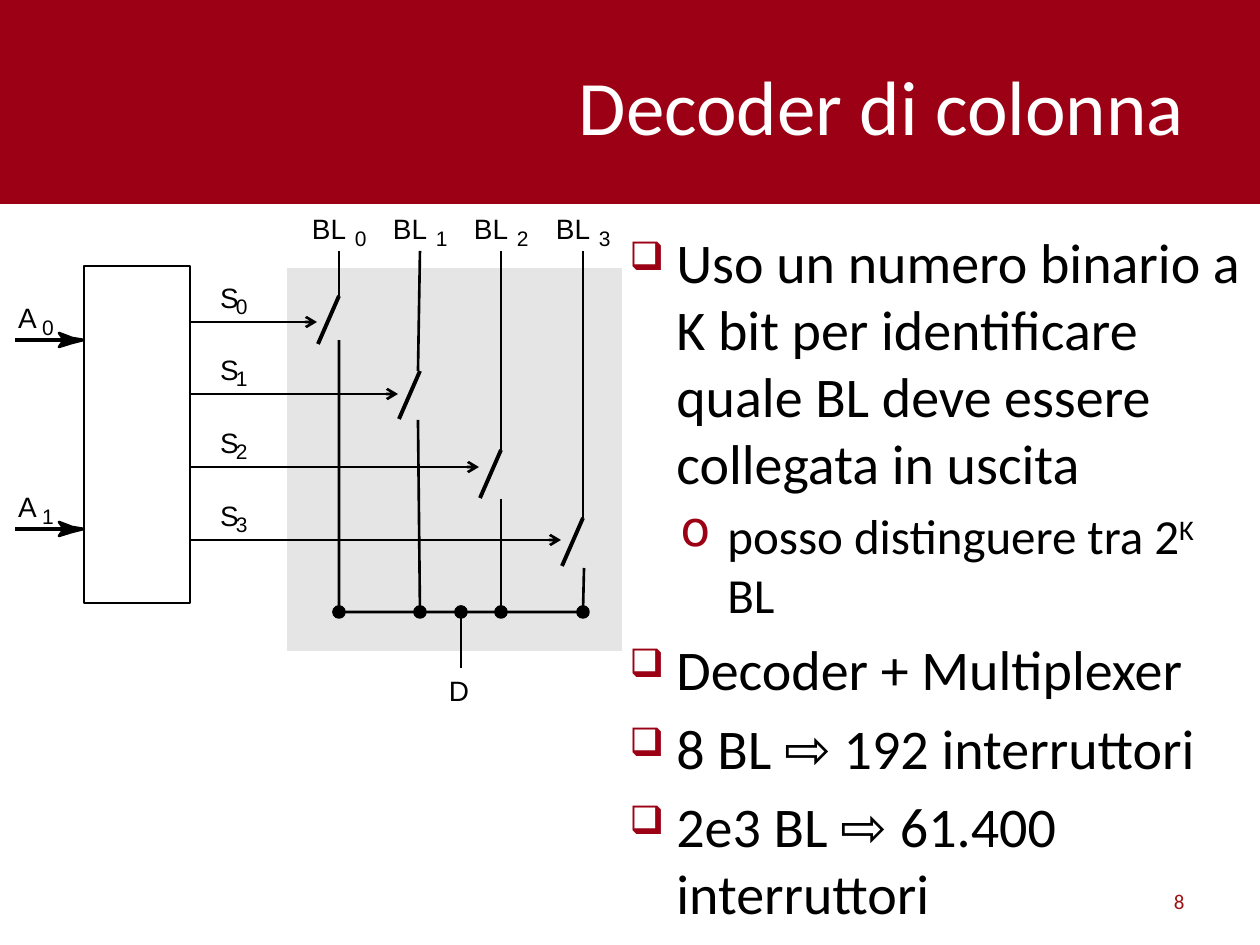
from dataclasses import dataclass
from typing import Optional

from lxml import etree
from pptx import Presentation
from pptx import util as u
from pptx.dml.color import RGBColor
from pptx.enum import shapes, text
from pptx.oxml.ns import qn

PX = 914400 / 126


@dataclass(frozen=True)
class Theme:
    red: str = "9B0014"
    number_red: str = "9E1213"
    white: str = "FFFFFF"
    black: str = "000000"
    gray: str = "E5E5E5"
    body_font: str = "Calibri"
    label_font: str = "Arial"
    title: int = 44
    body: int = 32
    sub_body: int = 28
    label: int = 16
    subscript: int = 12
    thin: float = 1
    wire: float = 1.5
    input_wire: float = 2
    switch: float = 2.25


T = Theme()


@dataclass(frozen=True)
class Bullet:
    wording: tuple[str, ...]
    char: str = "❑"
    level: int = 0
    size: int = T.body
    left: int = 47
    char_pct: Optional[int] = 70


@dataclass(frozen=True)
class Column:
    x: int
    foot: int
    opens: int
    resumes: int
    select_y: int


BUS_Y = 612
TOP_Y = 251
OPENINGS = ((296, 340), (371, 420), (450, 499), (518, 568))
COLUMNS = [
    Column(339 + i * 244 // 3, 339 + i * 244 // 3 - (2 if i == 1 else 0),
           top, low, 322 + i * 218 // 3)
    for i, (top, low) in enumerate(OPENINGS)
]
BULLETS = (
    Bullet(("Uso un numero binario a K bit per identificare quale BL "
            "deve essere collegata in uscita",)),
    Bullet(("posso distinguere tra 2", "K", " BL"), "o", 1, T.sub_body, 98, None),
    Bullet(("Decoder + Multiplexer",)),
    Bullet(("8 BL ⇨ 192 interruttori",)),
    Bullet(("2e3 BL ⇨ 61.400 interruttori",)),
)


def px(n: float) -> u.Emu:
    return u.Emu(round(n * PX))


def rgb(color: str) -> RGBColor:
    return RGBColor.from_string(color)


def add_run(p, words: str, size: int, color: str, font: str):
    r = p.add_run()
    r.text = words
    r.font.size = u.Pt(size)
    r.font.name = font
    r.font.color.rgb = rgb(color)
    return r


def add_frame(s, x: int, y: int, w: int, h: int):
    tf = s.shapes.add_textbox(px(x), px(y), px(w), px(h)).text_frame
    tf.word_wrap = True
    return tf


def add_heading(s, box: tuple[int, int, int, int], words: str, size: int, color: str) -> None:
    tf = add_frame(s, *box)
    tf.vertical_anchor = text.MSO_ANCHOR.MIDDLE
    p = tf.paragraphs[0]
    p.alignment = text.PP_ALIGN.RIGHT
    add_run(p, words, size, color, T.body_font)


def add_label(s, x: int, y: int, words: str, size: int) -> None:
    tf = add_frame(s, x, y, 18 * len(words), size * 2)
    tf.word_wrap = False
    tf.margin_left = tf.margin_right = tf.margin_top = tf.margin_bottom = 0
    add_run(tf.paragraphs[0], words, size, T.black, T.label_font)


def add_signal(s, x: int, y: int, name: str, index: int, dx: int, dy: int) -> None:
    add_label(s, x, y, name, T.label)
    add_label(s, x + dx, y + dy, str(index), T.subscript)


def style(sp, fill: Optional[str], line: Optional[float]) -> None:
    sp.shadow.inherit = False
    if fill:
        sp.fill.solid()
        sp.fill.fore_color.rgb = rgb(fill)
    else:
        sp.fill.background()
    if line:
        sp.line.color.rgb = rgb(T.black)
        sp.line.width = u.Pt(line)
    else:
        sp.line.fill.background()


def add_block(s, x: float, y: float, w: int, h: int, fill: Optional[str],
              line: Optional[float] = None,
              kind: shapes.MSO_SHAPE = shapes.MSO_SHAPE.RECTANGLE) -> None:
    style(s.shapes.add_shape(kind, px(x), px(y), px(w), px(h)), fill, line)


def add_path(s, points: list[tuple[int, int]], fill: Optional[str], close: bool) -> None:
    fb = s.shapes.build_freeform(*points[0], scale=PX)
    fb.add_line_segments(points[1:], close=close)
    style(fb.convert_to_shape(), fill, T.wire)


def add_line(s, x1: int, y1: int, x2: int, y2: int,
             width: float = T.wire, arrow: bool = False) -> None:
    c = s.shapes.add_connector(shapes.MSO_CONNECTOR.STRAIGHT, px(x1), px(y1), px(x2), px(y2))
    c.line.color.rgb = rgb(T.black)
    c.line.width = u.Pt(width)
    if arrow:
        etree.SubElement(c.line._get_or_add_ln(), qn("a:tailEnd"), type="arrow")
    etree.SubElement(c._element.spPr, qn("a:effectLst"))


def add_bullet(p, b: Bullet, first: bool) -> None:
    p.level = b.level
    pr = p._p.get_or_add_pPr()
    pr.set("marL", str(px(b.left)))
    pr.set("indent", str(px(-47)))
    p.space_before = u.Pt(0 if first else b.size * 0.2)
    color = etree.SubElement(pr, qn("a:buClr"))
    etree.SubElement(color, qn("a:srgbClr"), val=T.red)
    if b.char_pct:
        etree.SubElement(pr, qn("a:buSzPct"), val=str(b.char_pct * 1000))
    etree.SubElement(pr, qn("a:buChar"), char=b.char)
    for i, words in enumerate(b.wording):
        r = add_run(p, words, b.size, T.black, T.body_font)
        if i == 1:
            r.font._element.set("baseline", "30000")


def add_body(s) -> None:
    tf = add_frame(s, 617, 221, 643, 689)
    for i, b in enumerate(BULLETS):
        add_bullet(tf.paragraphs[0] if i == 0 else tf.add_paragraph(), b, i == 0)


def add_input(s, index: int, y: int) -> None:
    add_line(s, 15, y, 66, y, T.input_wire)
    head = ((64, 0), (59, -7), (72, -2), (84, 0), (72, 3), (59, 7))
    add_path(s, [(x, y + dy) for x, dy in head], T.black, True)
    add_signal(s, 18, y - 39, "A", index, 24, 14)


def add_column(s, index: int, c: Column) -> None:
    add_signal(s, c.x - 27, 212, "BL", index, 43, 14)
    add_signal(s, 220, c.select_y - 41, "S", index, 16, 13)
    add_line(s, 190, c.select_y, c.x - 61, c.select_y)
    add_line(s, c.x - 61, c.select_y, c.x - 22, c.select_y, arrow=True)
    add_line(s, c.foot, c.opens, c.x, TOP_Y)
    if c not in (COLUMNS[0], COLUMNS[-1]):
        add_line(s, c.foot, c.resumes, c.x, BUS_Y)


def add_decoder(s) -> None:
    first, last = COLUMNS[0], COLUMNS[-1]
    add_block(s, 287, 268, 335, 383, T.gray)
    add_block(s, 84, 266, 106, 337, None, T.wire)
    for i, y in enumerate((340, 529)):
        add_input(s, i, y)
    for i, c in enumerate(COLUMNS):
        add_column(s, i, c)
    add_path(s, [(first.x, first.resumes), (first.x, BUS_Y), (last.x, BUS_Y),
                 (last.x + 1, last.resumes)], None, False)
    output_x = (first.x + last.x) // 2
    for x in [c.x for c in COLUMNS] + [output_x]:
        add_block(s, x - 5.5, BUS_Y - 5.5, 11, 11, T.black, T.wire, shapes.MSO_SHAPE.OVAL)
    add_line(s, output_x, BUS_Y, output_x, 668, T.thin)
    add_label(s, 449, 674, "D", T.label)
    for c in COLUMNS:
        add_line(s, c.x, c.opens, c.x - 21, c.opens + 48, T.switch)


def main() -> None:
    prs = Presentation()
    prs.slide_width, prs.slide_height = px(1260), px(945)
    s = prs.slides.add_slide(prs.slide_layouts[6])
    add_block(s, 0, 0, 1260, 204, T.red)
    add_heading(s, (291, 14, 906, 181), "Decoder di colonna", T.title, T.white)
    add_body(s)
    add_heading(s, (903, 876, 294, 50), "8", T.subscript, T.number_red)
    add_decoder(s)
    prs.save("out.pptx")


if __name__ == "__main__":
    main()
